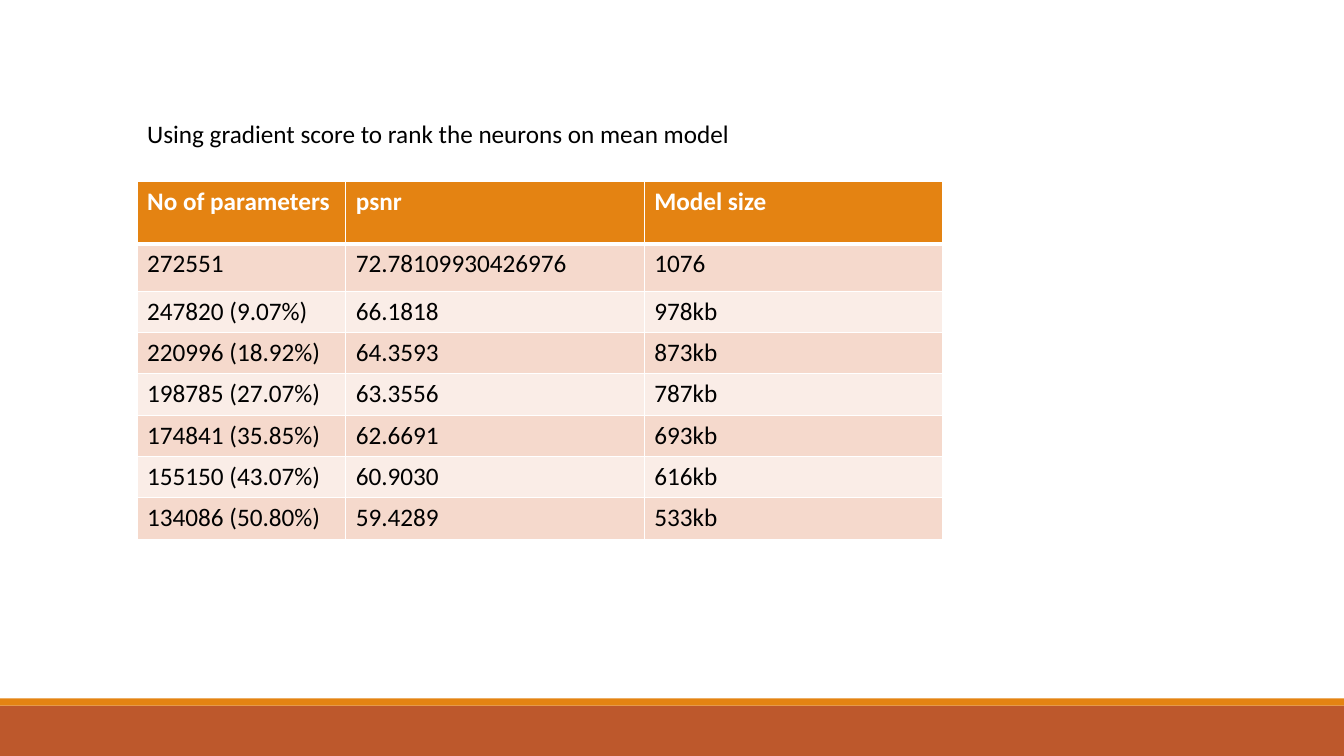
import dataclasses

import pptx
import pptx.dml.color
import pptx.enum.shapes
import pptx.enum.text
import pptx.oxml.ns
import pptx.util
from lxml import etree

EMU_PER_PX = 9144  # 100 px to the inch
FONT = "Calibri"
FONT_SIZE = pptx.util.Pt(18)
COLORS = {
    "white": "FFFFFF",
    "black": "000000",
    "orange": "E48312",
    "rust": "BD582C",
    "row_dark": "F5D9CC",
    "row_light": "FAEDE7",
}
TITLE_ONLY_LAYOUT = 5
HEADER_RULE, GRID_RULE = 3, 1  # points
COLUMN_WIDTHS = [207, 296, 296]
ROW_HEIGHTS = [62, 47] + [41] * 6
RESULTS = [
    ("No of parameters", "psnr", "Model size"),
    ("272551", "72.78109930426976", "1076"),
    ("247820 (9.07%)", "66.1818", "978kb"),
    ("220996 (18.92%)", "64.3593", "873kb"),
    ("198785 (27.07%)", "63.3556", "787kb"),
    ("174841 (35.85%)", "62.6691", "693kb"),
    ("155150 (43.07%)", "60.9030", "616kb"),
    ("134086 (50.80%)", "59.4289", "533kb"),
]


@dataclasses.dataclass(frozen=True)
class Band:
    top: int
    height: int
    color: str


FOOTER_BANDS = [Band(700, 50, "rust"), Band(693, 7, "orange")]


def px(length: int) -> pptx.util.Emu:
    return pptx.util.Emu(length * EMU_PER_PX)


def rgb(name: str) -> pptx.dml.color.RGBColor:
    return pptx.dml.color.RGBColor.from_string(COLORS[name])


def format_text(frame, color: str, bold: bool = False) -> None:
    for para in frame.paragraphs:
        para.alignment = pptx.enum.text.PP_ALIGN.LEFT
        for span in para.runs:
            span.font.name = FONT
            span.font.size = FONT_SIZE
            span.font.bold = bold
            span.font.color.rgb = rgb(color)


def draw_band(page, band: Band, width: int) -> None:
    box = page.shapes.add_shape(
        pptx.enum.shapes.MSO_SHAPE.RECTANGLE,
        px(0), px(band.top), px(width), px(band.height),
    )
    box.shadow.inherit = False
    box.fill.solid()
    box.fill.fore_color.rgb = rgb(band.color)
    box.line.fill.background()


def write_title(page, text: str) -> None:
    box = page.shapes.title
    box.left, box.top, box.width, box.height = px(136), px(112), px(855), px(40)
    frame = box.text_frame
    frame.text = text
    frame.word_wrap = True
    frame.auto_size = pptx.enum.text.MSO_AUTO_SIZE.SHAPE_TO_FIT_TEXT
    frame.vertical_anchor = pptx.enum.text.MSO_ANCHOR.TOP
    format_text(frame, "black")


def set_borders(cell, top: int, bottom: int) -> None:
    """Draw white cell borders; the lines must precede the fill in tcPr."""
    properties = cell._tc.get_or_add_tcPr()
    widths = {"lnL": GRID_RULE, "lnR": GRID_RULE, "lnT": top, "lnB": bottom}
    for position, (tag, points) in enumerate(widths.items()):
        line = etree.Element(
            pptx.oxml.ns.qn(f"a:{tag}"), w=str(pptx.util.Pt(points))
        )
        fill = etree.SubElement(line, pptx.oxml.ns.qn("a:solidFill"))
        etree.SubElement(
            fill, pptx.oxml.ns.qn("a:srgbClr"), val=COLORS["white"]
        )
        properties.insert(position, line)


def draw_results(page) -> None:
    table = page.shapes.add_table(
        len(RESULTS), len(COLUMN_WIDTHS), px(136), px(180),
        px(sum(COLUMN_WIDTHS)), px(sum(ROW_HEIGHTS)),
    ).table
    for column, width in zip(table.columns, COLUMN_WIDTHS):
        column.width = px(width)
    for index, (row, height) in enumerate(zip(table.rows, ROW_HEIGHTS)):
        row.height = px(height)
        header = index == 0
        band_color = "row_dark" if index % 2 else "row_light"
        for cell, text in zip(row.cells, RESULTS[index]):
            cell.text_frame.text = text
            format_text(cell.text_frame, "white" if header else "black", header)
            cell.fill.solid()
            cell.fill.fore_color.rgb = rgb("orange" if header else band_color)
            set_borders(
                cell,
                top=HEADER_RULE if index == 1 else GRID_RULE,
                bottom=HEADER_RULE if header else GRID_RULE,
            )


def main() -> None:
    deck = pptx.Presentation()
    slide_width, slide_height = 1333, 750
    deck.slide_width, deck.slide_height = px(slide_width), px(slide_height)
    page = deck.slides.add_slide(deck.slide_layouts[TITLE_ONLY_LAYOUT])
    page.background.fill.solid()
    page.background.fill.fore_color.rgb = rgb("white")
    for band in FOOTER_BANDS:
        draw_band(page, band, slide_width)
    draw_results(page)
    write_title(page, "Using gradient score to rank the neurons on mean model")
    deck.save("out.pptx")


if __name__ == "__main__":
    main()
